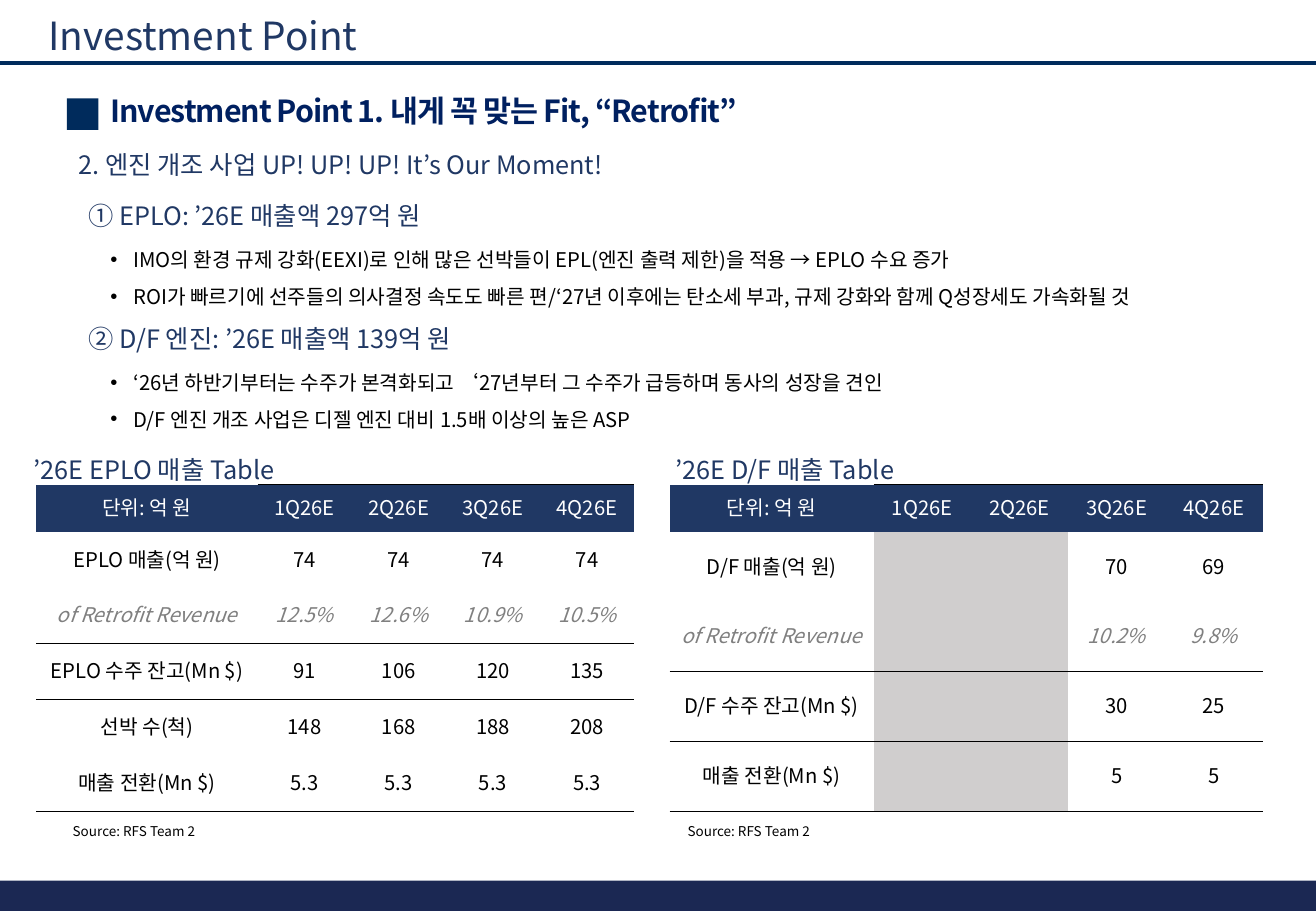
from lxml import etree
from pptx import Presentation
from pptx.dml.color import RGBColor
from pptx.enum.shapes import MSO_CONNECTOR, MSO_SHAPE
from pptx.enum.text import MSO_ANCHOR, MSO_AUTO_SIZE, PP_ALIGN
from pptx.oxml.ns import qn
from pptx.util import Inches, Pt

RECTANGLE = MSO_SHAPE.RECTANGLE
STRAIGHT = MSO_CONNECTOR.STRAIGHT
MIDDLE = MSO_ANCHOR.MIDDLE
CENTER = PP_ALIGN.CENTER
GROW = MSO_AUTO_SIZE.SHAPE_TO_FIT_TEXT

FONT = "Noto Sans CJK KR"
NAVY = "203864"
DEEP_NAVY = "002B5C"
BLACK = "000000"
WHITE = "FFFFFF"
GRAY = "808080"
BLANK_GRAY = "D0CECE"
NO_GRID_STYLE = "{2D5ABB26-0587-4C30-8999-92F81FD0307C}"
PAGE_WIDTH, PAGE_HEIGHT = 10.83, 7.5
HEADER_HEIGHT = 0.39

EPLO_ROWS = [
    ["단위: 억 원", "1Q26E", "2Q26E", "3Q26E", "4Q26E"],
    ["EPLO 매출(억 원)", "74", "74", "74", "74"],
    ["of Retrofit Revenue", "12.5%", "12.6%", "10.9%", "10.5%"],
    ["EPLO 수주 잔고(Mn $)", "91", "106", "120", "135"],
    ["선박 수(척)", "148", "168", "188", "208"],
    ["매출 전환(Mn $)", "5.3", "5.3", "5.3", "5.3"],
]
DF_ROWS = [
    ["단위: 억 원", "1Q26E", "2Q26E", "3Q26E", "4Q26E"],
    ["D/F 매출(억 원)", "", "", "70", "69"],
    ["of Retrofit Revenue", "", "", "10.2%", "9.8%"],
    ["D/F 수주 잔고(Mn $)", "", "", "30", "25"],
    ["매출 전환(Mn $)", "", "", "5", "5"],
]


def color(code):
    return RGBColor.from_string(code)


def add_span(para, text, size, code, bold=False, italic=False):
    span = para.add_run()
    span.text = text
    font = span.font
    font.size, font.bold, font.italic = Pt(size), bold, italic
    font.color.rgb = color(code)
    font.name = FONT
    etree.SubElement(span._r.get_or_add_rPr(), qn("a:ea")).set("typeface", FONT)
    return span


def add_text(page, left, top, width, height, lines, size=15, code=NAVY, bold=False):
    """Add a text box with one paragraph per line and return its paragraphs."""
    box = page.shapes.add_textbox(Inches(left), Inches(top), Inches(width), Inches(height))
    frame = box.text_frame
    frame.word_wrap = True
    frame.auto_size = GROW
    for index, line in enumerate(lines):
        para = frame.add_paragraph() if index else frame.paragraphs[0]
        add_span(para, line, size, code, bold)
    return frame.paragraphs


def add_bullet(para):
    props = para._p.get_or_add_pPr()
    props.set("marL", str(Inches(0.19)))
    props.set("indent", str(-Inches(0.19)))
    etree.SubElement(props, qn("a:buFont")).set("typeface", "Arial")
    etree.SubElement(props, qn("a:buChar")).set("char", "•")


def add_block(page, left, top, width, height, code):
    block = page.shapes.add_shape(
        RECTANGLE, Inches(left), Inches(top), Inches(width), Inches(height))
    block.shadow.inherit = False
    block.fill.solid()
    block.fill.fore_color.rgb = color(code)
    block.line.fill.background()


def add_page_frame(page, title):
    """Add the page title, the rule below it and the footer bar."""
    add_block(page, 0, 7.25, PAGE_WIDTH, 0.25, "1B2853")
    rule = page.shapes.add_connector(
        STRAIGHT, 0, Inches(0.52), Inches(PAGE_WIDTH), Inches(0.52))
    rule.line.color.rgb = color(DEEP_NAVY)
    rule.line.width = Pt(2.25)
    etree.SubElement(rule._element.spPr, qn("a:effectLst"))
    add_text(page, 0.3, 0.05, 6.37, 0.49, [title], 23)


def add_heading(page, left, top, heading, subheading):
    add_block(page, left, top + 0.04, 0.26, 0.26, DEEP_NAVY)
    para = add_text(page, left + 0.26, top, 6.32, 0.36, [heading], 18, "002060", True)[0]
    para.line_spacing = 0.8
    para.space_after = Pt(8)
    para.runs[0].font._element.set("spc", "-60")
    add_text(page, left, top + 0.41, 9.84, 0.35, [subheading])


def add_topic(page, left, top, heading, points):
    add_text(page, left, top, 9.84, 0.35, [heading])
    for para in add_text(page, left + 0.18, top + 0.29, 10, 0.68, points, 12, BLACK):
        add_bullet(para)
        para.line_spacing = 1.5


def add_border(cell, side):
    """Draw a thin black line on one side of a filled cell."""
    props = cell._tc.get_or_add_tcPr()
    line = etree.Element(qn("a:" + side), w=str(Pt(1)))
    fill = etree.SubElement(line, qn("a:solidFill"))
    etree.SubElement(fill, qn("a:srgbClr")).set("val", BLACK)
    props.insert(0, line)


def fill_cell(cell, text, row):
    header, share = row == 0, row == 2
    cell.fill.solid()
    cell.fill.fore_color.rgb = color(NAVY if header else WHITE if text else BLANK_GRAY)
    cell.vertical_anchor = MIDDLE
    cell.margin_left = cell.margin_right = Inches(0.07)
    cell.margin_top = cell.margin_bottom = 0
    if text:
        para = cell.text_frame.paragraphs[0]
        para.alignment = CENTER
        para.line_spacing = 0.8
        para.space_after = Pt(8)
        add_span(para, text, 12, WHITE if header else GRAY if share else BLACK, italic=share)


def add_sales_table(page, left, top, width, height, label_width, rows):
    count = len(rows)
    table = page.shapes.add_table(
        count, len(rows[0]), Inches(left), Inches(top), Inches(width), Inches(height)).table
    table.first_row = table.horz_banding = False
    table._tbl.tblPr.find(qn("a:tableStyleId")).text = NO_GRID_STYLE
    quarter_width = (width - label_width) / (len(rows[0]) - 1)
    for index, column in enumerate(table.columns):
        column.width = Inches(quarter_width if index else label_width)
    for index, row in enumerate(table.rows):
        row.height = Inches((height - HEADER_HEIGHT) / (count - 1) if index else HEADER_HEIGHT)
    for row, texts in enumerate(rows):
        for column, text in enumerate(texts):
            cell = table.cell(row, column)
            fill_cell(cell, text, row)
            if row == 0 and column:
                add_border(cell, "lnT")
            if row in (2, count - 1):
                add_border(cell, "lnB")
            if row == 3:
                add_border(cell, "lnT")


def add_sales_panel(page, left, width, title, title_shift, source_shift, label_width, rows):
    """Add a titled sales table with its source line."""
    top, height = 3.99, 2.69
    add_text(page, left + title_shift, top - 0.3, 4.92, 0.35, [title])
    add_sales_table(page, left, top, width, height, label_width, rows)
    add_text(page, left + source_shift, top + height + 0.05, 4.6, 0.24,
             ["Source: RFS Team 2"], 8, BLACK)


def main():
    deck = Presentation()
    deck.slide_width, deck.slide_height = Inches(PAGE_WIDTH), Inches(PAGE_HEIGHT)
    page = deck.slides.add_slide(deck.slide_layouts[6])
    add_page_frame(page, "Investment Point")
    add_heading(page, 0.55, 0.77, "Investment Point 1. 내게 꼭 맞는 Fit, “Retrofit”",
                "2. 엔진 개조 사업 UP! UP! UP! It’s Our Moment!")
    add_topic(page, 0.63, 1.6, "① EPLO: ’26E 매출액 297억 원", [
        "IMO의 환경 규제 강화(EEXI)로 인해 많은 선박들이 EPL(엔진 출력 제한)을 적용 → EPLO 수요 증가",
        "ROI가 빠르기에 선주들의 의사결정 속도도 빠른 편/‘27년 이후에는 탄소세 부과, "
        "규제 강화와 함께 Q성장세도 가속화될 것",
    ])
    add_topic(page, 0.63, 2.61, "② D/F 엔진: ’26E 매출액 139억 원", [
        "‘26년 하반기부터는 수주가 본격화되고 ‘27년부터 그 수주가 급등하며 동사의 성장을 견인",
        "D/F 엔진 개조 사업은 디젤 엔진 대비 1.5배 이상의 높은 ASP",
    ])
    add_sales_panel(page, 0.3, 4.92, "’26E EPLO 매출 Table", -0.12, 0.2, 1.82, EPLO_ROWS)
    add_sales_panel(page, 5.51, 4.88, "’26E D/F 매출 Table", -0.05, 0.05, 1.68, DF_ROWS)
    deck.save("out.pptx")


if __name__ == "__main__":
    main()
